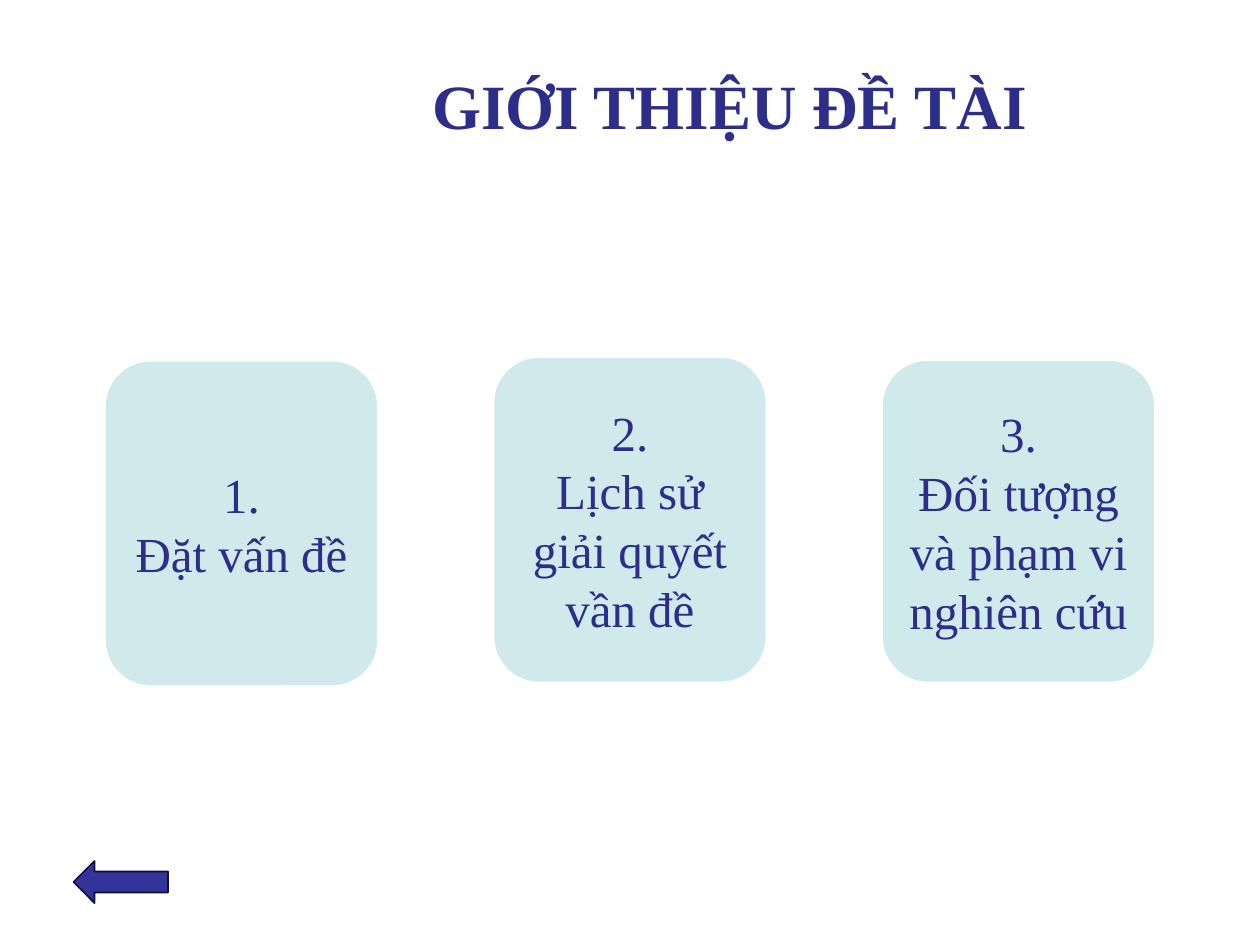
from dataclasses import dataclass

from pptx import Presentation
from pptx.dml.color import RGBColor
from pptx.enum.shapes import MSO_SHAPE
from pptx.enum.text import MSO_ANCHOR, PP_ALIGN
from pptx.util import Inches, Pt

ROUND = MSO_SHAPE.ROUNDED_RECTANGLE
ARROW = MSO_SHAPE.LEFT_ARROW
MIDDLE = MSO_ANCHOR.MIDDLE
CENTER = PP_ALIGN.CENTER
COLS, ROWS = 120, 90


@dataclass(frozen=True)
class Theme:
    face: str = "Times New Roman"
    ink: str = "2D2D8A"
    card: str = "D0EAEC"
    rim: str = "FFFFFF"
    arrow: str = "333399"
    edge: str = "0F0F3E"
    head: int = 36
    body: int = 28


class Deck:
    def __init__(self, theme):
        self.theme = theme
        self.show = Presentation()
        self.show.slide_width = Inches(10)
        self.show.slide_height = Inches(7.5)
        self.slide = self.show.slides.add_slide(self.show.slide_layouts[5])

    def grid(self, left, top, wide, high):
        col = self.show.slide_width / COLS
        row = self.show.slide_height / ROWS
        return [round(n) for n in (left * col, top * row, wide * col, high * row)]

    def label(self, shape, lines, size, bold=False):
        frame = shape.text_frame
        frame.text = "\n".join(lines)
        frame.word_wrap = True
        frame.vertical_anchor = MIDDLE
        style = {"name": self.theme.face, "size": Pt(size), "bold": bold}
        for para in frame.paragraphs:
            para.alignment = CENTER
            for run in para.runs:
                for key, value in style.items():
                    setattr(run.font, key, value)
                run.font.color.rgb = RGBColor.from_string(self.theme.ink)

    def title(self, text, *area):
        shape = self.slide.shapes.title
        places = zip(("left", "top", "width", "height"), self.grid(*area))
        for key, value in places:
            setattr(shape, key, value)
        self.label(shape, [text], self.theme.head, True)

    def shape(self, kind, fill, line, *area):
        shape = self.slide.shapes.add_shape(kind, *self.grid(*area))
        shape.shadow.inherit = False
        shape.fill.solid()
        shape.fill.fore_color.rgb = RGBColor.from_string(fill)
        shape.line.color.rgb = RGBColor.from_string(line)
        shape.line.width = Pt(1)
        return shape

    def card(self, lines, *area):
        shape = self.shape(ROUND, self.theme.card, self.theme.rim, *area)
        self.label(shape, lines, self.theme.body)

    def arrow(self, *area):
        self.shape(ARROW, self.theme.arrow, self.theme.edge, *area)


def main():
    deck = Deck(Theme())
    deck.title("GIỚI THIỆU ĐỀ TÀI", 23, 3.75, 93, 12.4)
    deck.arrow(7, 82, 9, 4)
    cards = [
        ("Đặt vấn đề", 34.35, 31),
        ("Lịch sử giải quyết vần đề", 34, 31),
        ("Đối tượng và phạm vi nghiên cứu", 34.3, 30.7),
    ]
    for i, (text, top, high) in enumerate(cards):
        deck.card([f"{i + 1}.", text], 10 + 37 * i, top, 26, high)
    deck.show.save("out.pptx")


if __name__ == "__main__":
    main()
